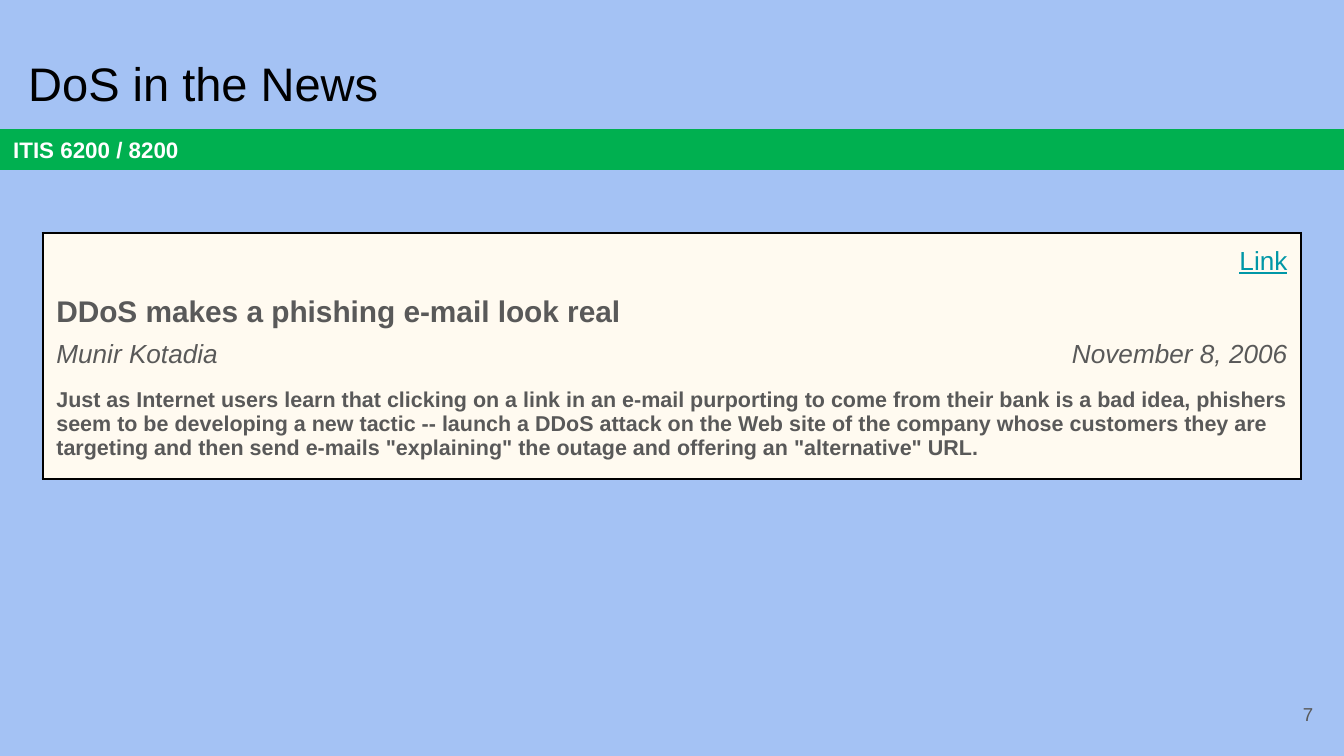
from typing import NamedTuple

from lxml.etree import SubElement
from pptx import Presentation
from pptx.dml.color import RGBColor
from pptx.enum.shapes import MSO_SHAPE
from pptx.enum.text import MSO_ANCHOR, PP_ALIGN
from pptx.oxml.ns import qn
from pptx.util import Pt

SKY = RGBColor(0xA4, 0xC2, 0xF4)
GREEN = RGBColor(0x00, 0xB0, 0x50)
CREAM = RGBColor(0xFF, 0xFA, 0xF0)
TEAL = RGBColor(0x00, 0x97, 0xA7)
GRAY = RGBColor(0x59, 0x59, 0x59)
BLACK = RGBColor(0x00, 0x00, 0x00)
WHITE = RGBColor(0xFF, 0xFF, 0xFF)

WIDTH, HEIGHT = 720, 405
INSET, TIGHT = 7.2, 2.2
ROW_HEIGHTS = (31, 22, 20, 53)
COLUMN_WIDTH = 337


class Entry(NamedTuple):
    row: int
    column: int
    text: str
    size: float = 14
    color: RGBColor = GRAY
    bold: bool = False
    italic: bool = False
    underline: bool = False
    align: PP_ALIGN = PP_ALIGN.LEFT
    inset: float = TIGHT
    span: int = 1


ARTICLE = (
    Entry(0, 0, ""),
    Entry(0, 1, "Link", color=TEAL, underline=True, align=PP_ALIGN.RIGHT, inset=INSET),
    Entry(1, 0, "DDoS makes a phishing e-mail look real", size=16, bold=True, span=2),
    Entry(2, 0, "Munir Kotadia", italic=True),
    Entry(2, 1, "November 8, 2006", italic=True, align=PP_ALIGN.RIGHT),
    Entry(3, 0, "Just as Internet users learn that clicking on a link in an e-mail "
          "purporting to come from their bank is a bad idea, phishers seem to be "
          "developing a new tactic -- launch a DDoS attack on the Web site of the "
          "company whose customers they are targeting and then send e-mails "
          "\"explaining\" the outage and offering an \"alternative\" URL.",
          size=11.5, bold=True, inset=INSET, span=2),
)


def write(frame, text: str, *, size: float, color: RGBColor, bold: bool = False,
          italic: bool = False, underline: bool = False,
          align: PP_ALIGN = PP_ALIGN.LEFT) -> None:
    paragraph = frame.paragraphs[0]
    paragraph.alignment = align
    if not text:
        return
    run = paragraph.add_run()
    run.text = text
    font = run.font
    font.name, font.size, font.color.rgb = "Arial", Pt(size), color
    font.bold, font.italic, font.underline = bold, italic, underline


def set_insets(frame, anchor: MSO_ANCHOR) -> None:
    frame.word_wrap = True
    frame.vertical_anchor = anchor
    frame.margin_left = frame.margin_right = Pt(INSET)
    frame.margin_top = frame.margin_bottom = Pt(INSET)


def add_label(slide, box: tuple, text: str, anchor: MSO_ANCHOR, **style) -> None:
    frame = slide.shapes.add_textbox(*map(Pt, box)).text_frame
    set_insets(frame, anchor)
    write(frame, text, **style)


def set_borders(cell, outer: dict[str, bool]) -> None:
    """Draw the outer edges of the card and clear the inner ones."""
    properties = cell._tc.get_or_add_tcPr()
    for side, visible in outer.items():
        line = SubElement(properties, qn(f"a:ln{side}"), w=str(Pt(1.5)))
        if visible:
            fill = SubElement(line, qn("a:solidFill"))
            SubElement(fill, qn("a:srgbClr"), val=str(BLACK))
        else:
            SubElement(line, qn("a:noFill"))


def fill_entry(table, entry: Entry) -> None:
    cell = table.cell(entry.row, entry.column)
    last_column = entry.column + entry.span - 1
    if entry.span > 1:
        cell.merge(table.cell(entry.row, last_column))
    cell.margin_left = cell.margin_right = Pt(INSET)
    cell.margin_top = cell.margin_bottom = Pt(entry.inset)
    write(cell.text_frame, entry.text, size=entry.size, color=entry.color,
          bold=entry.bold, italic=entry.italic, underline=entry.underline,
          align=entry.align)
    for column in range(entry.column, last_column + 1):
        part = table.cell(entry.row, column)
        set_borders(part, {
            "L": column == 0,
            "R": last_column == 1,
            "T": entry.row == 0,
            "B": entry.row == len(ROW_HEIGHTS) - 1,
        })
        part.fill.solid()
        part.fill.fore_color.rgb = CREAM


def add_article(slide) -> None:
    table = slide.shapes.add_table(len(ROW_HEIGHTS), 2, Pt(23), Pt(124.8),
                                   Pt(2 * COLUMN_WIDTH), Pt(sum(ROW_HEIGHTS))).table
    table.first_row = table.horz_banding = False
    for row, height in zip(table.rows, ROW_HEIGHTS):
        row.height = Pt(height)
    for column in table.columns:
        column.width = Pt(COLUMN_WIDTH)
    for entry in ARTICLE:
        fill_entry(table, entry)


def main() -> None:
    deck = Presentation()
    deck.slide_width, deck.slide_height = Pt(WIDTH), Pt(HEIGHT)
    slide = deck.slides.add_slide(deck.slide_layouts[6])
    slide.background.fill.solid()
    slide.background.fill.fore_color.rgb = SKY

    # Course band
    band = slide.shapes.add_shape(MSO_SHAPE.RECTANGLE, Pt(0), Pt(69.2), Pt(WIDTH), Pt(21.8))
    band.shadow.inherit = False
    band.fill.solid()
    band.fill.fore_color.rgb = GREEN
    band.line.fill.background()
    set_insets(band.text_frame, MSO_ANCHOR.MIDDLE)
    write(band.text_frame, "ITIS 6200 / 8200", size=12, color=WHITE, bold=True)

    # Title and page number
    add_label(slide, (8, 21.8, 671, 45.4), "DoS in the News", MSO_ANCHOR.TOP,
              size=25.2, color=BLACK)
    add_label(slide, (667.4, 367.2, 43.2, 31), "7", MSO_ANCHOR.MIDDLE,
              size=10, color=GRAY, align=PP_ALIGN.RIGHT)

    # News article card
    add_article(slide)
    deck.save("out.pptx")


if __name__ == "__main__":
    main()
